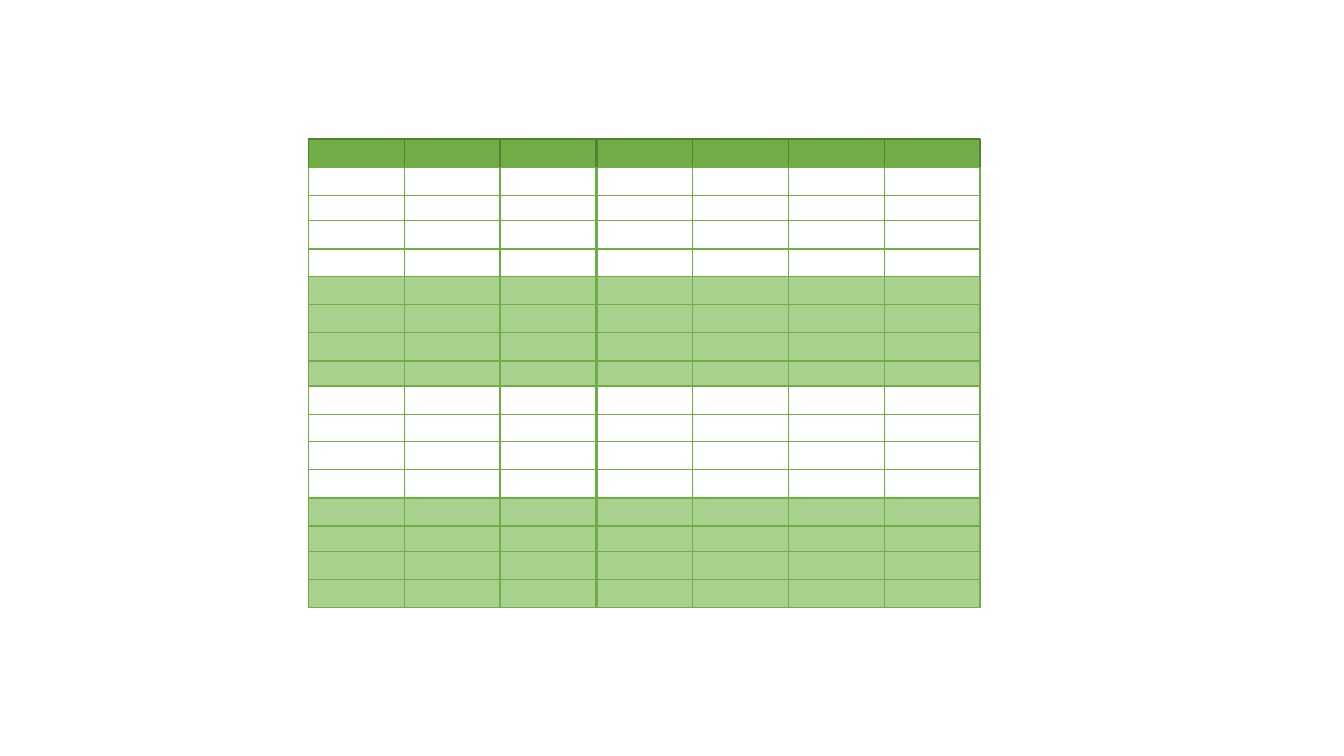
from pptx import Presentation, util as u
from pptx.dml.color import RGBColor
from pptx.enum import shapes

PX = u.Inches(1) // 100  # 100 px to the inch


def paint(fill, colour):
    fill.solid()
    fill.fore_color.rgb = RGBColor.from_string(colour)


prs = Presentation()
prs.slide_width, prs.slide_height = 1333 * PX, 750 * PX
slide = prs.slides.add_slide(prs.slide_layouts[6])

# Grid: seven columns; row offsets repeat every six rows
LEFT, TOP = 306, 138
CELL_WIDTH, CELL_HEIGHT = 95, 28
COLUMNS, ROWS = 7, 17
COLUMN_SPAN = 571  # from the first column's left to the last one's
ROW_OFFSETS = [0, 28, 56, 81, 109, 136]
CYCLE_HEIGHT = 164

# Colours: a dark header, then bands of four rows
HEADER, HEADER_LINE = "70AD47", "538035"
BANDS, BAND_LINE = ["FFFFFF", "A9D18E"], "70AD47"

for row in range(ROWS):
    cycle, step = divmod(row, len(ROW_OFFSETS))
    y = TOP + cycle * CYCLE_HEIGHT + ROW_OFFSETS[step]
    if row == 0:
        fill, line = HEADER, HEADER_LINE
    else:
        fill, line = BANDS[(row - 1) // 4 % 2], BAND_LINE

    for column in range(COLUMNS):
        x = LEFT + round(column * COLUMN_SPAN / (COLUMNS - 1))
        cell = slide.shapes.add_shape(
            shapes.MSO_SHAPE.RECTANGLE,
            x * PX, y * PX, CELL_WIDTH * PX, CELL_HEIGHT * PX)
        cell.shadow.inherit = False
        paint(cell.fill, fill)
        paint(cell.line.fill, line)
        cell.line.width = u.Pt(1)

prs.save("out.pptx")
